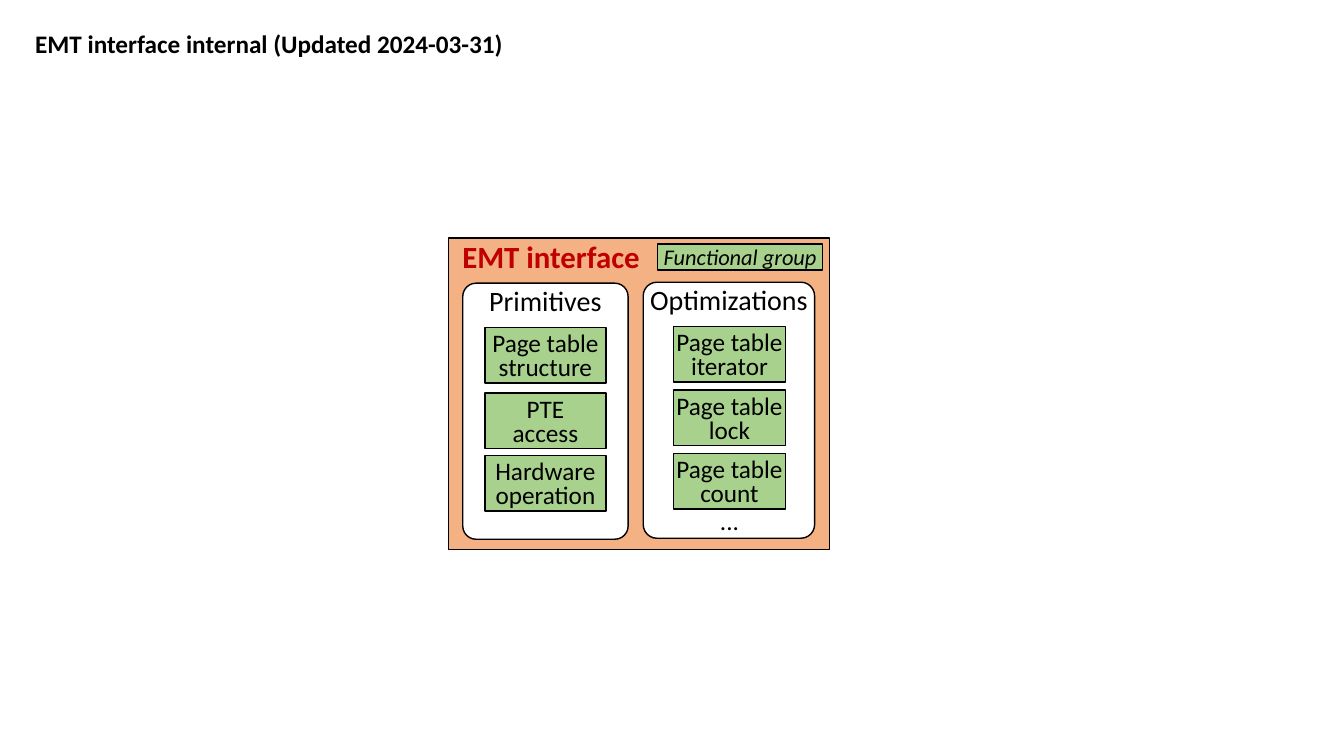
import pptx
import pptx.util
import pptx.dml.color
import pptx.enum.shapes
import pptx.enum.text

Inches, Pt = pptx.util.Inches, pptx.util.Pt
SHAPE = pptx.enum.shapes.MSO_SHAPE
ANCHOR = pptx.enum.text.MSO_ANCHOR
ALIGN = pptx.enum.text.PP_ALIGN
AUTO_SIZE = pptx.enum.text.MSO_AUTO_SIZE

COLORS = {"black": "000000", "white": "FFFFFF", "orange": "F4B183",
          "green": "A9D18E", "red": "C00000"}


def color(name):
    return pptx.dml.color.RGBColor.from_string(COLORS[name])


class Diagram:
    """Holds the text style and the current slide."""
    font = "Calibri"
    inset = (0, 0.04, 0, 0)

    def __init__(self, slide):
        self.slide = slide

    def add_text(self, sp, text, size, ink="black", align=ALIGN.CENTER, spacing=None,
                 inset=(0.1, 0.05, 0.1, 0.05), frame=None, **style):
        tf = sp.text_frame
        sides = ("margin_left", "margin_top", "margin_right", "margin_bottom")
        frame_values = dict(zip(sides, map(Inches, inset)))
        frame_values.update({"word_wrap": True, **(frame or {})})
        for name, value in frame_values.items():
            setattr(tf, name, value)
        for i, line in enumerate(text.split("\n")):
            p = tf.add_paragraph() if i else tf.paragraphs[0]
            p.alignment = align
            if spacing:
                p.line_spacing = spacing
            r = p.add_run()
            r.text = line
            font_values = {"name": self.font, "size": Pt(size), **style}
            for name, value in font_values.items():
                setattr(r.font, name, value)
            r.font.color.rgb = color(ink)

    def shape(self, kind, at, fill):
        sp = self.slide.shapes.add_shape(kind, *map(Inches, at))
        sp.shadow.inherit = False
        sp.fill.solid()
        sp.fill.fore_color.rgb = color(fill)
        sp.line.color.rgb = color("black")
        sp.line.width = Pt(1)
        return sp

    def panel(self, at, heading):
        sp = self.shape(SHAPE.ROUNDED_RECTANGLE, at, "white")
        sp.adjustments[0] = 0.08
        self.add_text(sp, heading, 20, spacing=0.75, inset=self.inset,
                      frame={"vertical_anchor": ANCHOR.TOP})

    def group(self, at, text, size=18, **style):
        sp = self.shape(SHAPE.RECTANGLE, at, "green")
        self.add_text(sp, text, size, spacing=0.8, inset=self.inset,
                      frame={"vertical_anchor": ANCHOR.MIDDLE}, **style)

    def label(self, at, text, size, wrap=False, **style):
        sp = self.slide.shapes.add_textbox(*map(Inches, at))
        self.add_text(sp, text, size, frame={
            "word_wrap": wrap, "auto_size": AUTO_SIZE.SHAPE_TO_FIT_TEXT}, **style)


def main():
    prs = pptx.Presentation()
    prs.slide_width, prs.slide_height = Inches(13.33), Inches(7.5)
    d = Diagram(prs.slides.add_slide(prs.slide_layouts[6]))

    # Slide title and outer frame
    d.label((0.25, 0.23, 4.88, 0.4), "EMT interface internal (Updated 2024-03-31)",
            18, align=ALIGN.LEFT, bold=True)
    d.shape(SHAPE.RECTANGLE, (4.45, 2.36, 3.78, 3.09), "orange")

    # Optimizations panel
    d.panel((6.38, 2.8, 1.7, 2.54), "Optimizations")
    d.label((7.04, 4.96, 0.39, 0.4), "...", 18)
    for i, name in enumerate(("iterator", "lock", "count")):
        d.group((6.68, 3.24 + 0.63 * i, 1.11, 0.55), f"Page table {name}")

    # Primitives panel
    d.panel((4.59, 2.81, 1.64, 2.54), "Primitives")
    primitives = ((3.25, "Page table structure"), (3.9, "PTE\naccess"),
                  (4.52, "Hardware operation"))
    for top, text in primitives:
        d.group((4.81, top, 1.2, 0.55), text)

    # Legend and frame heading
    d.group((6.52, 2.42, 1.64, 0.26), "Functional group", 16, italic=True)
    d.label((4.52, 2.44, 1.89, 0.29), "EMT interface", 22, wrap=True, ink="red",
            spacing=0.75, inset=(0, 0, 0, 0), bold=True)

    prs.save("out.pptx")


if __name__ == "__main__":
    main()
